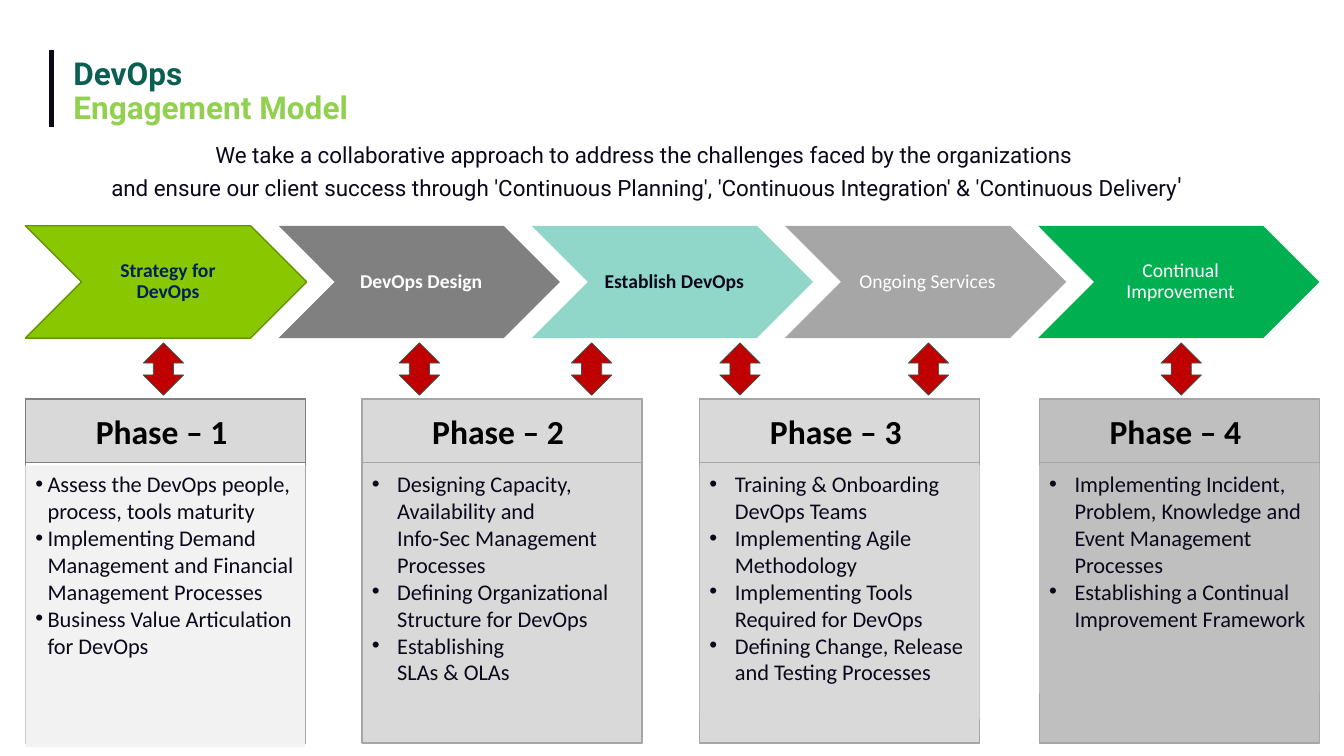
from dataclasses import dataclass

from lxml import etree
from pptx import Presentation
from pptx.dml.color import RGBColor
from pptx.enum.shapes import MSO_CONNECTOR, MSO_SHAPE
from pptx.enum.text import MSO_ANCHOR, PP_ALIGN
from pptx.oxml.ns import qn
from pptx.util import Cm, Pt

CHEVRON, RECTANGLE = MSO_SHAPE.CHEVRON, MSO_SHAPE.RECTANGLE
UP_DOWN_ARROW = MSO_SHAPE.UP_DOWN_ARROW
STRAIGHT = MSO_CONNECTOR.STRAIGHT
TOP, MIDDLE = MSO_ANCHOR.TOP, MSO_ANCHOR.MIDDLE
LEFT, CENTER = PP_ALIGN.LEFT, PP_ALIGN.CENTER

INK = RGBColor(0x0A, 0x09, 0x1B)
BLACK = RGBColor(0x00, 0x00, 0x00)
WHITE = RGBColor(0xFF, 0xFF, 0xFF)
NAVY = RGBColor(0x00, 0x20, 0x60)
TEAL = RGBColor(0x0A, 0x5E, 0x52)
ARROW_EDGE = RGBColor(0x23, 0x5F, 0x54)
LIGHT_GREEN = RGBColor(0x92, 0xD0, 0x50)
LIME = RGBColor(0x89, 0xC8, 0x00)
OLIVE = RGBColor(0x65, 0x94, 0x00)
AQUA = RGBColor(0x90, 0xD6, 0xC9)
GREEN = RGBColor(0x00, 0xB0, 0x50)
RED = RGBColor(0xC0, 0x00, 0x00)
GRAY_50 = RGBColor(0x80, 0x80, 0x80)
GRAY_65 = RGBColor(0xA6, 0xA6, 0xA6)
GRAY_75 = RGBColor(0xBF, 0xBF, 0xBF)
GRAY_85 = RGBColor(0xD9, 0xD9, 0xD9)
GRAY_95 = RGBColor(0xF2, 0xF2, 0xF2)


@dataclass
class Span:
    text: str
    size: float
    color: RGBColor
    bold: bool = False
    font: str = "Calibri"


@dataclass
class Step:
    label: str
    fill: RGBColor
    color: RGBColor
    bold: bool = False
    edge: RGBColor | None = None


@dataclass
class Phase:
    left: float
    body_height: float
    frame_fill: RGBColor
    header_fill: RGBColor | None
    body_fill: RGBColor | None
    items: list[str]
    edge: RGBColor = GRAY_65
    edge_width: float = 1
    indent: float = 0.64


STEPS = [
    Step("Strategy for DevOps", LIME, NAVY, True, OLIVE),
    Step("DevOps Design", GRAY_50, WHITE, True),
    Step("Establish DevOps", AQUA, INK, True),
    Step("Ongoing Services", GRAY_65, WHITE),
    Step("Continual Improvement", GREEN, WHITE),
]
PHASES = [
    Phase(0.64, 7.09, WHITE, GRAY_85, GRAY_95, [
        "Assess the DevOps people, process, tools maturity",
        "Implementing Demand Management and Financial Management Processes",
        "Business Value Articulation for DevOps",
    ], edge=GRAY_50, indent=0.31),
    Phase(9.12, 5.74, GRAY_85, None, None, [
        "Designing Capacity, Availability and \nInfo-Sec Management Processes",
        "Defining Organizational Structure for DevOps",
        "Establishing \nSLAs & OLAs",
    ]),
    Phase(17.63, 6.4, GRAY_85, GRAY_85, GRAY_85, [
        "Training & Onboarding DevOps Teams",
        "Implementing Agile Methodology",
        "Implementing Tools Required for DevOps",
        "Defining Change, Release and Testing Processes",
    ]),
    Phase(26.19, 5.74, GRAY_75, GRAY_75, GRAY_75, [
        "Implementing Incident, Problem, Knowledge and Event Management Processes",
        "Establishing a Continual Improvement Framework",
    ], edge_width=0.5),
]
ARROW_LEFTS = [3.61, 10.06, 14.4, 18.14, 22.89, 29.26]

STEP_LEFT, STEP_PITCH = 0.64, 6.38
PHASE_TOP, PHASE_WIDTH, PHASE_HEIGHT = 10.06, 7.06, 8.66
HEADER_HEIGHT, BODY_TOP = 1.6, 11.73


def add_box(page, kind, left: float, top: float, width: float, height: float,
            fill: RGBColor | None = None, edge: RGBColor | None = None,
            edge_width: float = 1):
    box = page.shapes.add_shape(kind, Cm(left), Cm(top), Cm(width), Cm(height))
    box.shadow.inherit = False
    if fill is None:
        box.fill.background()
    else:
        box.fill.solid()
        box.fill.fore_color.rgb = fill
    if edge is None:
        box.line.fill.background()
    else:
        box.line.color.rgb = edge
        box.line.width = Pt(edge_width)
    return box


def add_text_box(page, left: float, top: float, width: float, height: float):
    return page.shapes.add_textbox(Cm(left), Cm(top), Cm(width), Cm(height))


def add_bullet(para, indent: float) -> None:
    properties = para._p.get_or_add_pPr()
    properties.set("marL", str(Cm(indent)))
    properties.set("indent", str(-Cm(indent)))
    etree.SubElement(properties, qn("a:buFont")).set("typeface", "Arial")
    etree.SubElement(properties, qn("a:buChar")).set("char", "•")


def write(box, paragraphs: list[list[Span]], align=CENTER, anchor=MIDDLE,
          spacing: float | None = None, indent: float | None = None) -> None:
    frame = box.text_frame
    frame.word_wrap = True
    frame.vertical_anchor = anchor
    for index, spans in enumerate(paragraphs):
        para = frame.paragraphs[0] if index == 0 else frame.add_paragraph()
        para.alignment = align
        if spacing is not None:
            para.line_spacing = spacing
        if indent is not None:
            add_bullet(para, indent)
        for span in spans:
            for number, line in enumerate(span.text.split("\n")):
                if number:
                    para.add_line_break()
                if not line:
                    continue
                run = para.add_run()
                run.text = line
                run.font.name = span.font
                run.font.size = Pt(span.size)
                run.font.bold = span.bold
                run.font.color.rgb = span.color


def draw_heading(page) -> None:
    bar = page.shapes.add_connector(STRAIGHT, Cm(1.3), Cm(1.27), Cm(1.3), Cm(3.2))
    bar.line.color.rgb = INK
    bar.line.width = Pt(3)
    etree.SubElement(bar._element.spPr, qn("a:effectLst"))

    title = add_text_box(page, 1.6, 1.35, 10.08, 1.98)
    write(title, [[Span("DevOps\n", 22.5, TEAL, True, "Roboto"),
                   Span("Engagement Model", 22.5, LIGHT_GREEN, True, "Roboto")]],
          align=LEFT, anchor=TOP, spacing=0.9)

    intro = add_text_box(page, -0.05, 3.33, 32.69, 1.9)
    write(intro, [[
        Span("We take a collaborative approach to address the challenges faced by "
             "the organizations \nand ensure our client success through 'Continuous "
             "Planning', 'Continuous Integration' & 'Continuous Delivery",
             16, INK, font="Roboto"),
        Span("'", 18, INK, font="Roboto")]], spacing=1.1)


def draw_step(page, index: int, step: Step) -> None:
    box = add_box(page, CHEVRON, STEP_LEFT + index * STEP_PITCH, 5.69, 7.09, 2.83,
                  step.fill, step.edge)
    frame = box.text_frame
    frame.margin_left = Cm(0.15)
    frame.margin_top = frame.margin_right = frame.margin_bottom = Cm(0.05)
    write(box, [[Span(step.label, 14, step.color, step.bold)]], spacing=0.9)


def draw_phase(page, number: int, phase: Phase) -> None:
    add_box(page, RECTANGLE, phase.left, PHASE_TOP, PHASE_WIDTH, PHASE_HEIGHT,
            phase.frame_fill, phase.edge)
    header = add_box(page, RECTANGLE, phase.left, PHASE_TOP, PHASE_WIDTH,
                     HEADER_HEIGHT, phase.header_fill, phase.edge, phase.edge_width)
    write(header, [[Span(f"Phase – {number} ", 24, BLACK, True)]])
    body = add_box(page, RECTANGLE, phase.left, BODY_TOP, PHASE_WIDTH,
                   phase.body_height, phase.body_fill)
    write(body, [[Span(item, 16, INK)] for item in phase.items],
          align=LEFT, anchor=TOP, indent=phase.indent)


def main() -> None:
    deck = Presentation()
    deck.slide_width, deck.slide_height = Cm(33.87), Cm(19.05)
    page = deck.slides.add_slide(deck.slide_layouts[6])

    draw_heading(page)
    # Process chevrons
    for index, step in enumerate(STEPS):
        draw_step(page, index, step)
    # Phase cards
    for number, phase in enumerate(PHASES, start=1):
        draw_phase(page, number, phase)
    # Arrows between chevrons and cards
    for left in ARROW_LEFTS:
        add_box(page, UP_DOWN_ARROW, left, 8.64, 1.02, 1.32, RED, ARROW_EDGE, 0.5)

    deck.save("out.pptx")


if __name__ == "__main__":
    main()
